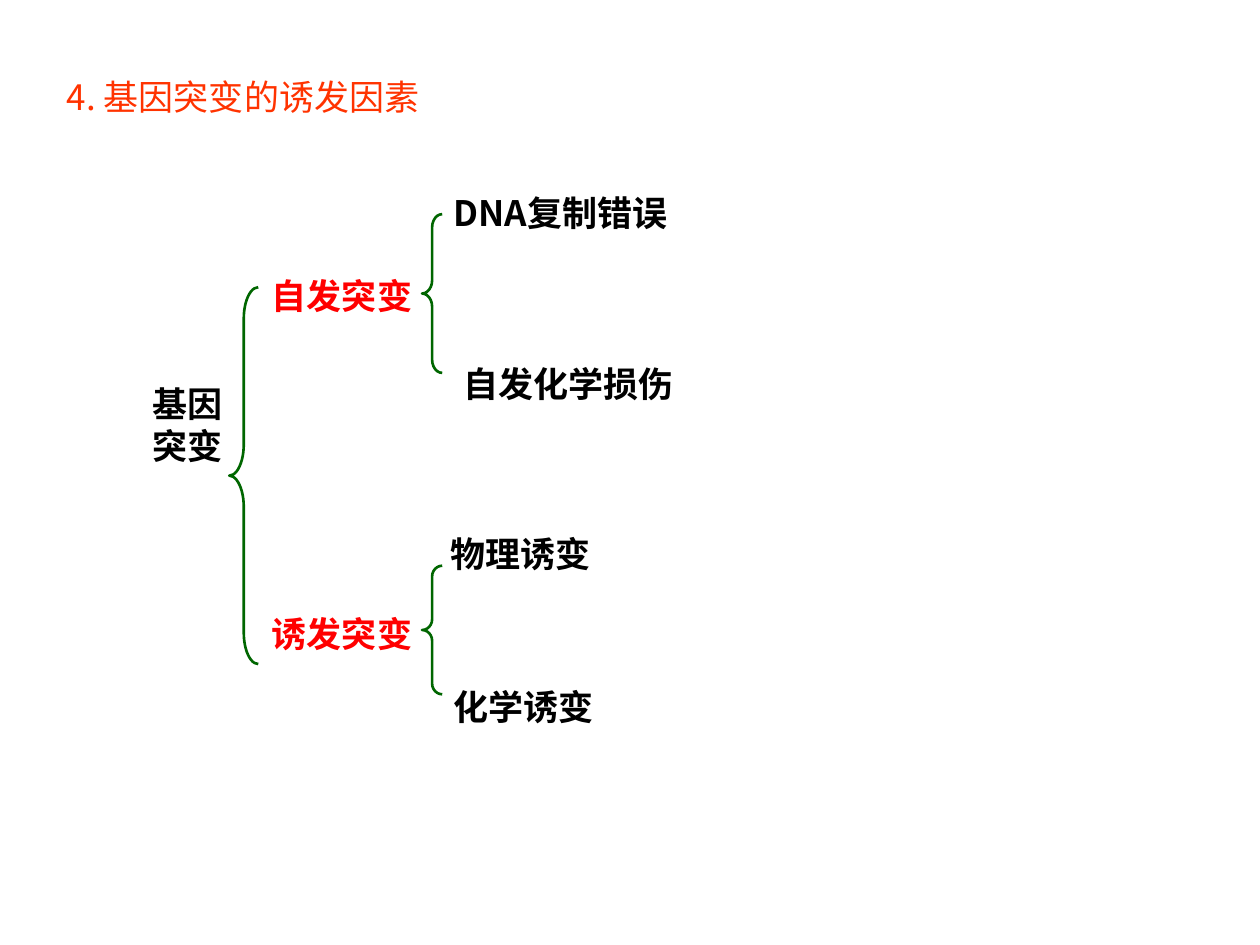
from pptx import Presentation, util as u
from pptx.dml.color import RGBColor
from pptx.enum import shapes, text
from pptx.oxml.ns import qn
from lxml import etree

COLS, ROWS = 100, 75
HUES = {"title": "FF3300", "kind": "FF0000", "text": "000000", "brace": "006600"}


class Tree:
    """Style and slide; lengths are columns and rows of the grid."""
    font, size, lead = "Noto Sans CJK SC", u.Pt(20), u.Pt(24)

    def __init__(self, deck):
        self.col = deck.slide_width // COLS
        self.row = deck.slide_height // ROWS
        self.slide = deck.slides.add_slide(deck.slide_layouts[5])

    def area(self, x, y, w, h):
        return [round(n) for n in (x * self.col, y * self.row,
                                   w * self.col, h * self.row)]

    def fill(self, box, words, hue, bold, lead):
        frame = box.text_frame
        frame.text = words
        frame.word_wrap = True
        frame.auto_size = text.MSO_AUTO_SIZE.NONE
        frame.vertical_anchor = text.MSO_ANCHOR.TOP
        para = frame.paragraphs[0]
        para.alignment = text.PP_ALIGN.LEFT
        para.line_spacing = lead
        for run in para.runs:
            run.font.name, run.font.size, run.font.bold = self.font, self.size, bold
            run.font.color.rgb = RGBColor.from_string(HUES[hue])
            east = etree.SubElement(run.font._element, qn("a:ea"))
            east.set("typeface", self.font)

    def title(self, words, *place):
        box = self.slide.shapes.title
        box.left, box.top, box.width, box.height = self.area(*place)
        self.fill(box, words, "title", False, u.Pt(32))

    def label(self, words, x, y, w, h=4.4, hue="text"):
        box = self.slide.shapes.add_textbox(*self.area(x, y, w, h))
        self.fill(box, words, hue, True, self.lead)

    def brace(self, x, y, w, h):
        """Left brace whose curves are each a twelfth of its height."""
        item = self.slide.shapes.add_shape(
            shapes.MSO_SHAPE.LEFT_BRACE, *self.area(x, y, w, h))
        item.adjustments[0] = h / 12 / w
        item.shadow.inherit = False
        item.fill.background()
        item.line.color.rgb = RGBColor.from_string(HUES["brace"])
        item.line.width = u.Pt(1.5)


def main():
    deck = Presentation()
    deck.slide_width, deck.slide_height = u.Inches(10), u.Inches(7.5)
    tree = Tree(deck)
    tree.title("4. 基因突变的诱发因素", 4.3, 4.4, 37.8, 6.3)

    tree.label("基因突变", 11.1, 29.9, 9.5, 7.7)
    tree.brace(18.2, 22.8, 2.3, 29.9)
    for words, y in (("自发突变", 21.3), ("诱发突变", 48.1)):
        tree.label(words, 20.6, y, 17.3, hue="kind")
    for y, h in ((17, 12.6), (44.9, 10.2)):
        tree.brace(33.5, y, 1.6, h)
    for words, x, y, w in (("DNA复制错误", 35, 14.7, 23.6),
                           ("自发化学损伤", 35.8, 28.3, 23.6),
                           ("物理诱变", 34.8, 41.8, 17.3),
                           ("化学诱变", 35, 53.9, 17.3)):
        tree.label(words, x, y, w)
    deck.save("out.pptx")


if __name__ == "__main__":
    main()
